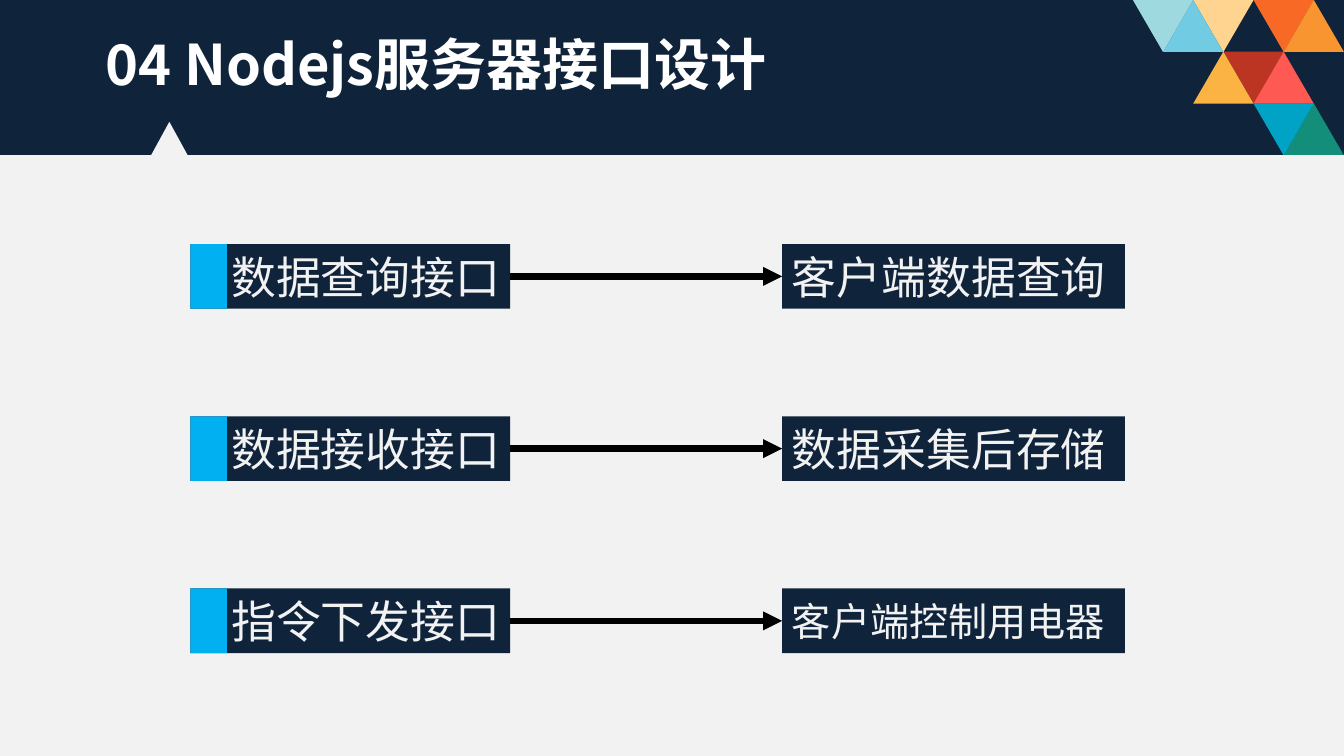
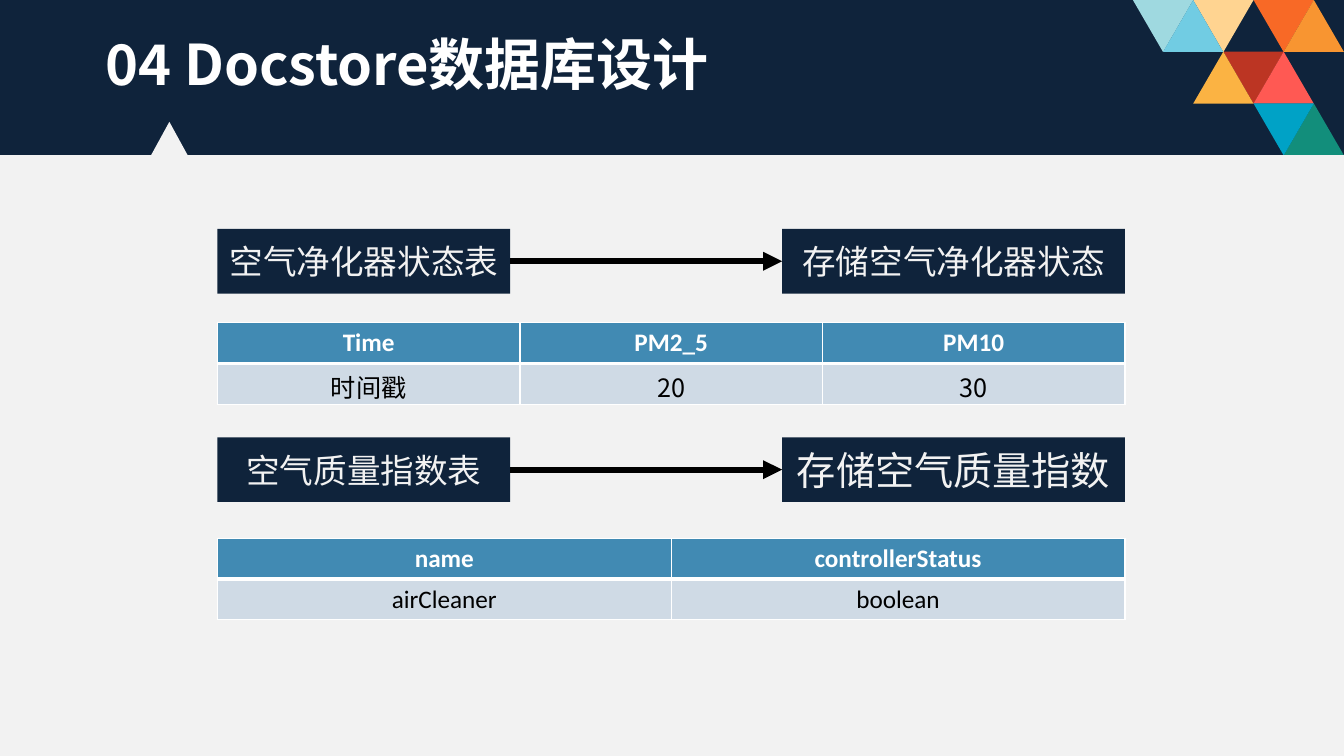
from dataclasses import dataclass

from lxml.etree import SubElement
from pptx import Presentation
from pptx.dml.color import RGBColor
from pptx.enum.shapes import MSO_CONNECTOR, MSO_SHAPE
from pptx.enum.text import MSO_ANCHOR, MSO_AUTO_SIZE, PP_ALIGN
from pptx.oxml import parse_xml
from pptx.oxml.ns import nsdecls, qn
from pptx.util import Cm, Pt


@dataclass(frozen=True)
class Theme:
    navy: str = "0F233B"
    page: str = "F2F2F2"
    white: str = "FFFFFF"
    black: str = "000000"
    tag: str = "00B0F0"
    header_row: str = "418AB3"
    body_row: str = "CFDAE5"
    cjk: str = "Noto Sans CJK SC"
    latin: str = "Calibri"
    title_size: int = 40
    large: int = 32
    medium: int = 28
    small: int = 24
    cell_size: int = 18
    arrow_width: float = 4.5


THEME = Theme()

# Content: left box, right box, right size
INTERFACE_TITLE = "04 Nodejs服务器接口设计"
INTERFACES = [
    ("数据查询接口", "客户端数据查询", THEME.large),
    ("数据接收接口", "数据采集后存储", THEME.large),
    ("指令下发接口", "客户端控制用电器", THEME.medium),
]

DATABASE_TITLE = "04 Docstore数据库设计"
COLLECTIONS = [
    {
        "name": "空气净化器状态表", "purpose": "存储空气净化器状态",
        "purpose_size": THEME.small, "top": 5.77, "table_top": 8.13,
        "rows": [("Time", "PM2_5", "PM10"), ("时间戳", "20", "30")],
        "body_font": THEME.cjk,
    },
    {
        "name": "空气质量指数表", "purpose": "存储空气质量指数",
        "purpose_size": THEME.medium, "top": 11.02, "table_top": 13.56,
        "rows": [("name", "controllerStatus"), ("airCleaner", "boolean")],
        "body_font": THEME.latin,
    },
]

# Corner mosaic: column, row, points down, colour
MOSAIC = [
    (3, 1, True, "BC3523"), (4, 1, False, "FF5953"),
    (4, 0, True, "F86926"), (5, 0, False, "F89531"),
    (2, 1, False, "FBB343"), (2, 0, True, "FFD491"),
    (5, 2, False, "128E7B"), (0, 0, True, "9FD9E0"),
    (1, 0, False, "71CCE3"), (4, 2, True, "00A2C6"),
]

# Geometry in centimetres
SLIDE_W, SLIDE_H = 33.87, 19.05
BAND_H = 3.91
NOTCH_X, NOTCH_TOP, NOTCH_HALF = 4.27, 3.07, 0.46
TRIANGLE_W, TRIANGLE_H = 1.52, 1.31
MOSAIC_LEFT = SLIDE_W - 3.5 * TRIANGLE_W
BOX_H = 1.63
LEFT_BOX_END = 12.86
RIGHT_BOX, RIGHT_BOX_W = 19.71, 8.64
INTERFACE_LEFT, INTERFACE_TOP, INTERFACE_PITCH = 4.8, 6.15, 4.34
TAG_W = 0.92
COLLECTION_LEFT = 5.48
ROW_H = 1.03


def rgb(colour):
    return RGBColor.from_string(colour)


def style_text(paragraph, size, colour, font=THEME.cjk, bold=False):
    for run in paragraph.runs:
        run.font.size = Pt(size)
        run.font.bold = bold
        run.font.name = font
        run.font.color.rgb = rgb(colour)
        east_asian = SubElement(run.font._element, qn("a:ea"))
        east_asian.set("typeface", font)


def paint(shape, colour):
    """Flat fill without outline or shadow."""
    shape.shadow.inherit = False
    shape.fill.solid()
    shape.fill.fore_color.rgb = rgb(colour)
    shape.line.fill.background()
    return shape


def add_flat(slide, preset, left, top, width, height, colour):
    return paint(slide.shapes.add_shape(
        preset, Cm(left), Cm(top), Cm(width), Cm(height)), colour)


def add_label(slide, text, left, top, width, size, align):
    box = add_flat(slide, MSO_SHAPE.RECTANGLE, left, top, width, BOX_H, THEME.navy)
    frame = box.text_frame
    frame.text = text
    frame.word_wrap = True
    frame.vertical_anchor = MSO_ANCHOR.MIDDLE
    frame.paragraphs[0].alignment = align
    style_text(frame.paragraphs[0], size, THEME.page)


def add_arrow(slide, y):
    arrow = slide.shapes.add_connector(
        MSO_CONNECTOR.STRAIGHT, Cm(LEFT_BOX_END), Cm(y), Cm(RIGHT_BOX), Cm(y))
    arrow.line.color.rgb = rgb(THEME.black)
    arrow.line.width = Pt(THEME.arrow_width)
    SubElement(arrow.line._get_or_add_ln(), qn("a:tailEnd")).set("type", "triangle")
    SubElement(arrow._element.spPr, qn("a:effectLst"))


def add_pair(slide, top, left, left_label, right_label, left_align, right_align):
    """Two labelled boxes joined by an arrow; a label is (text, size)."""
    add_label(slide, left_label[0], left, top, LEFT_BOX_END - left,
              left_label[1], left_align)
    add_label(slide, right_label[0], RIGHT_BOX, top, RIGHT_BOX_W,
              right_label[1], right_align)
    add_arrow(slide, top + BOX_H / 2)


def border_cell(cell, bottom):
    properties = cell._tc.get_or_add_tcPr()
    widths = {"lnL": 1, "lnR": 1, "lnT": 1, "lnB": bottom}
    for position, (side, width) in enumerate(widths.items()):
        properties.insert(position, parse_xml(
            f'<a:{side} {nsdecls("a")} w="{Pt(width)}"><a:solidFill>'
            f'<a:srgbClr val="{THEME.white}"/></a:solidFill></a:{side}>'))


def add_data_table(slide, rows, top, body_font):
    width = RIGHT_BOX + RIGHT_BOX_W - COLLECTION_LEFT
    table = slide.shapes.add_table(
        len(rows), len(rows[0]), Cm(COLLECTION_LEFT), Cm(top),
        Cm(width), Cm(ROW_H * len(rows))).table
    table.horz_banding = False
    for row_index, values in enumerate(rows):
        header = row_index == 0
        for column, value in enumerate(values):
            cell = table.cell(row_index, column)
            cell.text = value
            cell.fill.solid()
            cell.fill.fore_color.rgb = rgb(THEME.header_row if header else THEME.body_row)
            border_cell(cell, bottom=3 if header else 1)
            paragraph = cell.text_frame.paragraphs[0]
            paragraph.alignment = PP_ALIGN.CENTER
            style_text(paragraph, THEME.cell_size,
                       THEME.white if header else THEME.black,
                       THEME.latin if header else body_font, bold=header)


def add_page(deck, title):
    """Slide with the navy band, corner mosaic, notched page and title."""
    slide = deck.slides.add_slide(deck.slide_layouts[6])
    slide.background.fill.solid()
    slide.background.fill.fore_color.rgb = rgb(THEME.navy)

    for column, row, down, colour in MOSAIC:
        triangle = add_flat(
            slide, MSO_SHAPE.ISOSCELES_TRIANGLE,
            MOSAIC_LEFT + column * TRIANGLE_W / 2, row * BAND_H / 3,
            TRIANGLE_W, TRIANGLE_H, colour)
        triangle.rotation = 180 if down else 0

    outline = [
        (NOTCH_X + NOTCH_HALF, BAND_H), (SLIDE_W, BAND_H), (SLIDE_W, SLIDE_H),
        (0, SLIDE_H), (0, BAND_H), (NOTCH_X - NOTCH_HALF, BAND_H),
    ]
    page = slide.shapes.build_freeform(Cm(NOTCH_X), Cm(NOTCH_TOP))
    page.add_line_segments([(Cm(x), Cm(y)) for x, y in outline], close=True)
    paint(page.convert_to_shape(), THEME.page)

    frame = slide.shapes.add_textbox(Cm(2.41), Cm(0.63), Cm(25.93), Cm(1.96)).text_frame
    frame.text = title
    frame.word_wrap = True
    frame.auto_size = MSO_AUTO_SIZE.SHAPE_TO_FIT_TEXT
    style_text(frame.paragraphs[0], THEME.title_size, THEME.white, bold=True)
    return slide


def build_interfaces(deck):
    slide = add_page(deck, INTERFACE_TITLE)
    for index, (interface, purpose, size) in enumerate(INTERFACES):
        top = INTERFACE_TOP + index * INTERFACE_PITCH
        add_pair(slide, top, INTERFACE_LEFT, (interface, THEME.large),
                 (purpose, size), PP_ALIGN.RIGHT, PP_ALIGN.LEFT)
        add_flat(slide, MSO_SHAPE.RECTANGLE, INTERFACE_LEFT, top,
                 TAG_W, BOX_H, THEME.tag)


def build_database(deck):
    slide = add_page(deck, DATABASE_TITLE)
    for item in COLLECTIONS:
        add_pair(slide, item["top"], COLLECTION_LEFT, (item["name"], THEME.small),
                 (item["purpose"], item["purpose_size"]),
                 PP_ALIGN.CENTER, PP_ALIGN.CENTER)
        add_data_table(slide, item["rows"], item["table_top"], item["body_font"])


def main():
    deck = Presentation()
    deck.slide_width, deck.slide_height = Cm(SLIDE_W), Cm(SLIDE_H)
    build_interfaces(deck)
    build_database(deck)
    deck.save("out.pptx")


if __name__ == "__main__":
    main()
